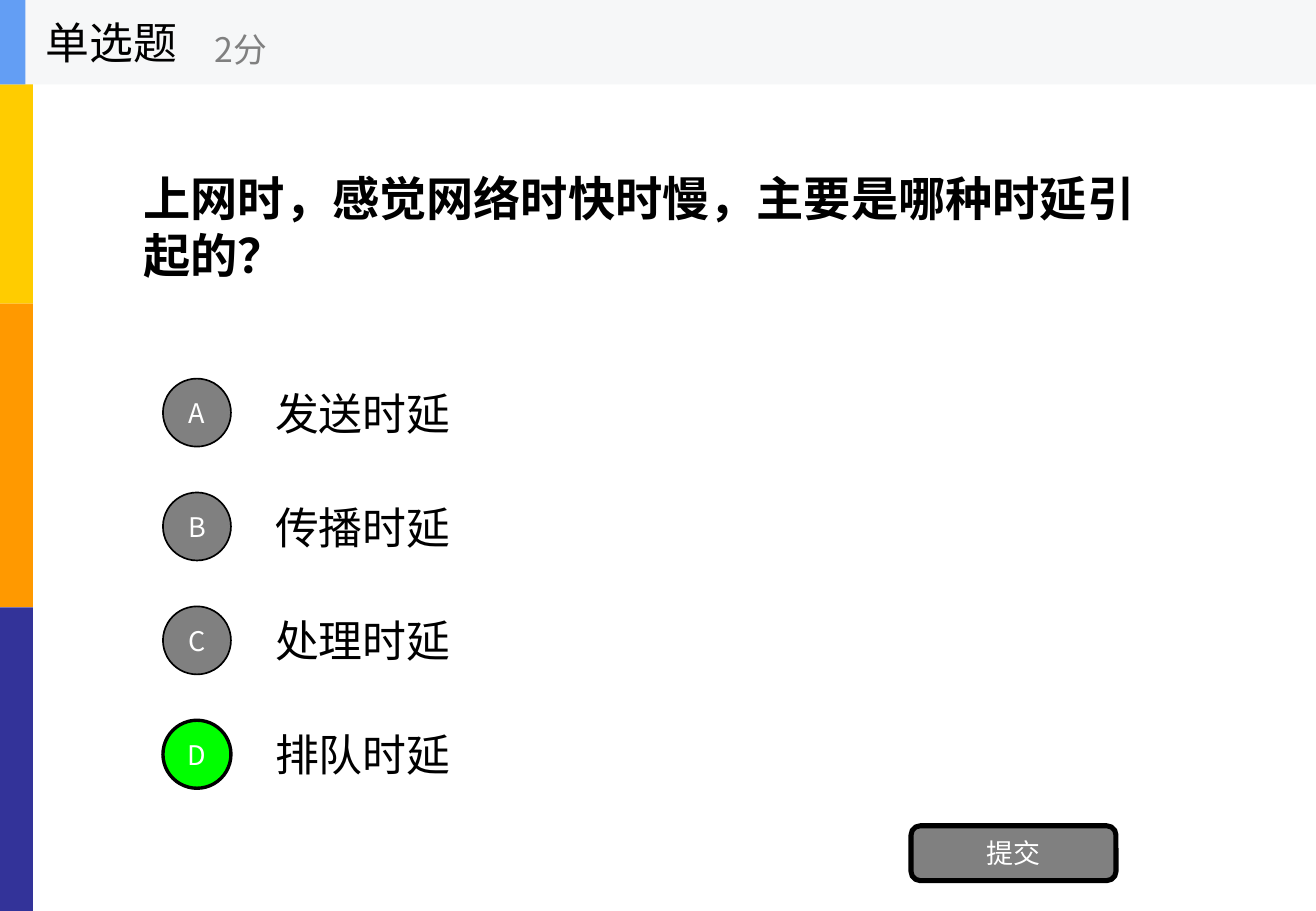
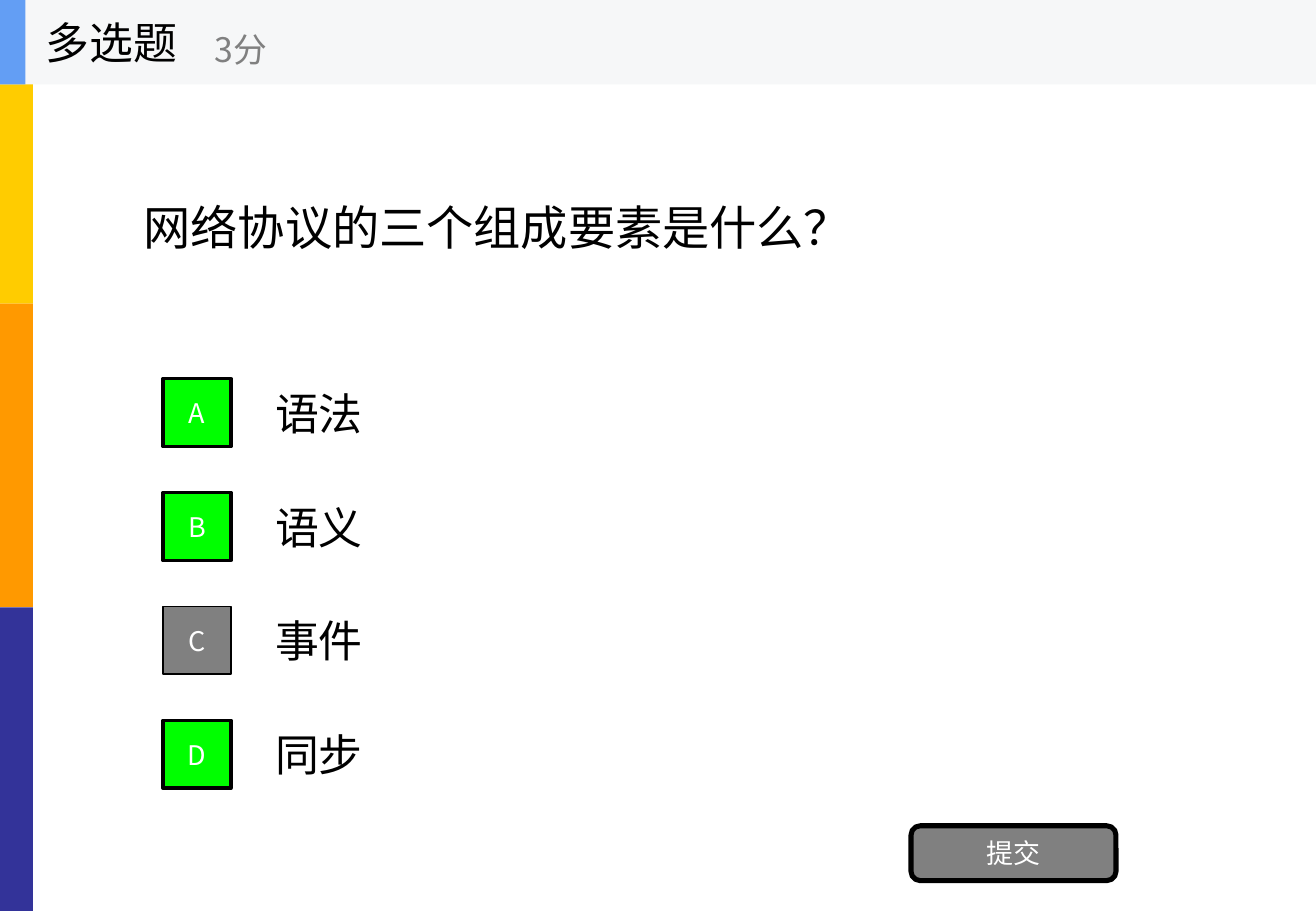
from dataclasses import dataclass
from lxml import etree
from pptx import Presentation
from pptx.dml.color import RGBColor
from pptx.enum import lang, shapes, text
from pptx.oxml import ns
from pptx.util import Pt

QUIZ = [
    dict(kind="单选题", score="2分", bold=True, mark="OVAL", right="D",
         ask="上网时，感觉网络时快时慢，主要是哪种时延引起的？",
         picks=["发送时延", "传播时延", "处理时延", "排队时延"]),
    dict(kind="多选题", score="3分", bold=False, mark="RECTANGLE", right="ABD",
         ask="网络协议的三个组成要素是什么？",
         picks=["语法", "语义", "事件", "同步"]),
]
SUBMIT = "提交"


@dataclass(frozen=True)
class Theme:
    bands: tuple = ("FFCC00", "FF9900", "333399")
    bar: str = "F6F7F8"
    tab: str = "639EF4"
    ink: str = "000000"
    gray: str = "808080"
    green: str = "00FF00"
    white: str = "FFFFFF"
    font: str = "Noto Sans CJK SC"
    head: str = "Arial"
    ask: int = 28
    body: int = 26
    score: int = 20
    small: int = 16


T = Theme()
WIDE, HIGH = 780, 540
BAR = 50
TOP, STEP, ROW = 219.4, 67.5, 50.4
MARK = 40.3


def write(shape, words, size, color, font=T.font, bold=False, center=False):
    frame = shape.text_frame
    frame.word_wrap = True
    frame.vertical_anchor = text.MSO_ANCHOR.MIDDLE
    para = frame.paragraphs[0]
    para.alignment = text.PP_ALIGN.CENTER if center else text.PP_ALIGN.LEFT
    run = para.add_run()
    run.text = words
    run.font.size = Pt(size)
    run.font.bold = bold
    run.font.color.rgb = RGBColor.from_string(color)
    run.font.name = font
    run.font.language_id = lang.MSO_LANGUAGE_ID.SIMPLIFIED_CHINESE
    east = etree.SubElement(run._r.get_or_add_rPr(), ns.qn("a:ea"))
    east.set("typeface", font)


def block(host, kind, at, fill, line=0):
    shape = host.add_shape(shapes.MSO_SHAPE[kind], *map(Pt, at))
    shape.shadow.inherit = False
    shape.fill.solid()
    shape.fill.fore_color.rgb = RGBColor.from_string(fill)
    if line:
        shape.line.width = Pt(line)
        shape.line.color.rgb = RGBColor.from_string(T.ink)
    else:
        shape.line.fill.background()
    return shape


def label(host, at, *args, **style):
    write(host.add_textbox(*map(Pt, at)), *args, **style)


def button(host, kind, at, words, fill, line):
    write(block(host, kind, at, fill, line), words, T.small, T.white, center=True)


def frame(host, kind, score):
    part = HIGH / len(T.bands)
    for i, color in enumerate(T.bands):
        block(host, "RECTANGLE", (0, i * part, 19.5, part), color)
    group = host.add_group_shape().shapes
    block(group, "RECTANGLE", (0, 0, WIDE, BAR), T.bar)
    block(group, "RECTANGLE", (0, 0, 15, BAR), T.tab)
    label(group, (20, 0, 150, BAR), kind, T.body, T.ink)
    label(group, (120, 9, 180, 40), score, T.score, T.gray)


def build(deck, quiz):
    host = deck.slides.add_slide(deck.slide_layouts[6]).shapes
    frame(host, quiz["kind"], quiz["score"])
    label(host, (78, BAR, 624, 168.5), quiz["ask"], T.ask, T.ink,
          font=T.head, bold=quiz["bold"])
    for i, (key, pick) in enumerate(zip("ABCD", quiz["picks"])):
        top = TOP + i * STEP
        label(host, (156, top, 546, ROW), pick, T.body, T.ink)
        fill, line = (T.green, 2) if key in quiz["right"] else (T.gray, 1)
        spot = (96.6, top + (ROW - MARK) / 2, MARK, MARK)
        button(host, quiz["mark"], spot, key, fill, line)
    button(host, "ROUNDED_RECTANGLE", (540, 489.5, 121.5, 32.5), SUBMIT, T.gray, 3)


def main():
    deck = Presentation()
    deck.slide_width, deck.slide_height = Pt(WIDE), Pt(HIGH)
    for quiz in QUIZ:
        build(deck, quiz)
    deck.save("out.pptx")


if __name__ == "__main__":
    main()
